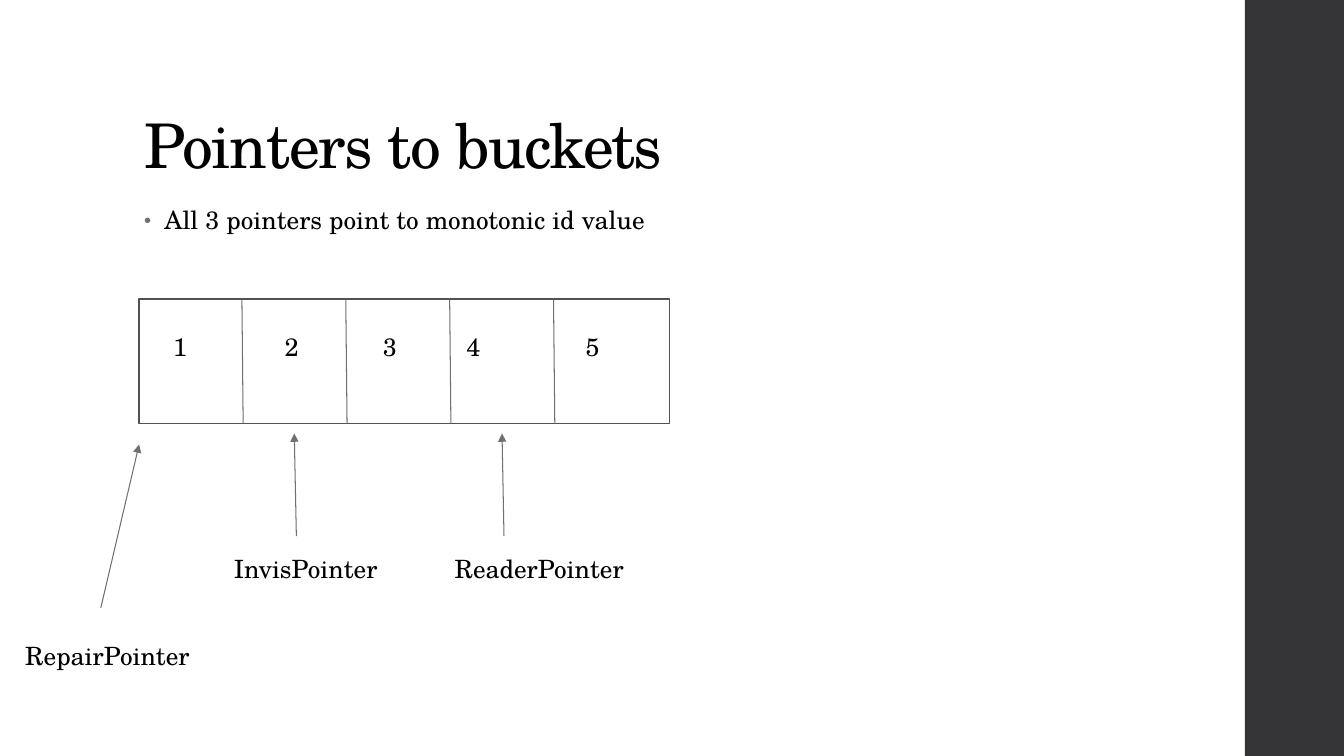
from collections import namedtuple
from lxml.etree import SubElement
from pptx import Presentation
from pptx.dml.color import RGBColor as RGB
from pptx.enum.shapes import MSO_CONNECTOR as Conn, MSO_SHAPE as Shape
from pptx.enum.text import MSO_ANCHOR as Anchor, MSO_AUTO_SIZE as Auto, PP_ALIGN as Align
from pptx.oxml.ns import qn
from pptx.util import Pt

Theme = namedtuple("Theme", "font ink edge rule bar head text inset")
theme = Theme("TeX Gyre Schola", "000000", "515155", "6F6F74", "353538", 44, 18, 3.6)

title = "Pointers to buckets"
point = "All 3 pointers point to monotonic id value"
size = (960, 540)
strip = (889.2, 0, 70.8, 540)
array = (99.4, 213.8, 378.7, 88.6)
cells = [("1", 128.6), ("2", 208.4), ("3", 278.6), ("4", 338.2), ("5", 423.4)]
walls = dict(first=172.8, step=74.2, count=4, lean=0.9)
labels = [
    ("InvisPointer", (163.4, 391.7, 154, 29.5)),
    ("ReaderPointer", (321.1, 391.7, 157, 29.5)),
    ("RepairPointer", (14.4, 453.6, 217.4, 29.5)),
]
arrows = [
    (211.7, 383, 210.2, 309.6),
    (360, 383, 358.6, 309.6),
    (72, 434.2, 99.4, 317.5),
]


def write(shape, text, pts=theme.text, align=Align.LEFT, anchor=Anchor.TOP, lead=1.0, above=0):
    """Fill a shape with one formatted paragraph and return it."""
    frame = shape.text_frame
    frame.word_wrap = True
    frame.auto_size = Auto.NONE
    frame.vertical_anchor = anchor
    frame.margin_left = frame.margin_right = Pt(theme.inset)
    frame.margin_top = frame.margin_bottom = Pt(theme.inset)
    para = frame.paragraphs[0]
    para.alignment = align
    para.line_spacing = lead
    para.space_before = Pt(above)
    run = para.add_run()
    run.text = text
    run.font.name = theme.font
    run.font.size = Pt(pts)
    run.font.color.rgb = RGB.from_string(theme.ink)
    return para


def place(shape, box):
    """Move a shape to a box given in points."""
    shape.left, shape.top, shape.width, shape.height = map(Pt, box)
    return shape


def bullet(para):
    """Give a paragraph a small grey bullet."""
    props = para._p.get_or_add_pPr()
    props.set("marL", str(Pt(14.4)))
    props.set("indent", str(Pt(-14.4)))
    tint = SubElement(props, qn("a:buClr"))
    SubElement(tint, qn("a:srgbClr"), val=theme.rule)
    SubElement(props, qn("a:buSzPct"), val="80000")
    SubElement(props, qn("a:buFont"), typeface="Arial")
    SubElement(props, qn("a:buChar"), char="•")


def rect(shapes, box, fill=None, edge=None):
    """Draw a plain rectangle with a fill or an outline."""
    shape = shapes.add_shape(Shape.RECTANGLE, *map(Pt, box))
    shape.shadow.inherit = False
    if fill:
        shape.fill.solid()
        shape.fill.fore_color.rgb = RGB.from_string(fill)
    else:
        shape.fill.background()
    if edge:
        shape.line.color.rgb = RGB.from_string(edge)
        shape.line.width = Pt(1.1)
    else:
        shape.line.fill.background()


def line(shapes, ends, arrow=False):
    """Draw a thin line, with an arrowhead at its end if asked."""
    link = shapes.add_connector(Conn.STRAIGHT, *map(Pt, ends))
    link.line.color.rgb = RGB.from_string(theme.rule)
    link.line.width = Pt(0.75)
    props = link._element.spPr
    if arrow:
        SubElement(props.find(qn("a:ln")), qn("a:tailEnd"), type="triangle")
    SubElement(props, qn("a:effectLst"))


def main():
    """Build the slide and save it."""
    deck = Presentation()
    deck.slide_width, deck.slide_height = map(Pt, size)
    slide = deck.slides.add_slide(deck.slide_layouts[1])
    shapes = slide.shapes
    rect(shapes, strip, fill=theme.bar)

    head = place(shapes.title, (99.4, 28.8, 763.2, 104.4))
    para = write(head, title, pts=theme.head, anchor=Anchor.BOTTOM, lead=0.9)
    para.runs[0].font._element.set("spc", "-100")
    body = place(slide.placeholders[1], (99.4, 144, 597.6, 173.5))
    bullet(write(body, point, lead=0.95, above=14))

    rect(shapes, array, edge=theme.edge)
    top, base = array[1], array[1] + array[3]
    for i in range(walls["count"]):
        x = walls["first"] + i * walls["step"]
        line(shapes, (x, top, x + walls["lean"], base))
    for text, mid in cells:
        box = shapes.add_textbox(*map(Pt, (mid - 18, 233.3, 36, 29.5)))
        write(box, text, align=Align.CENTER)

    for ends in arrows:
        line(shapes, ends, arrow=True)
    for text, box in labels:
        write(shapes.add_textbox(*map(Pt, box)), text)
    deck.save("out.pptx")


if __name__ == "__main__":
    main()
